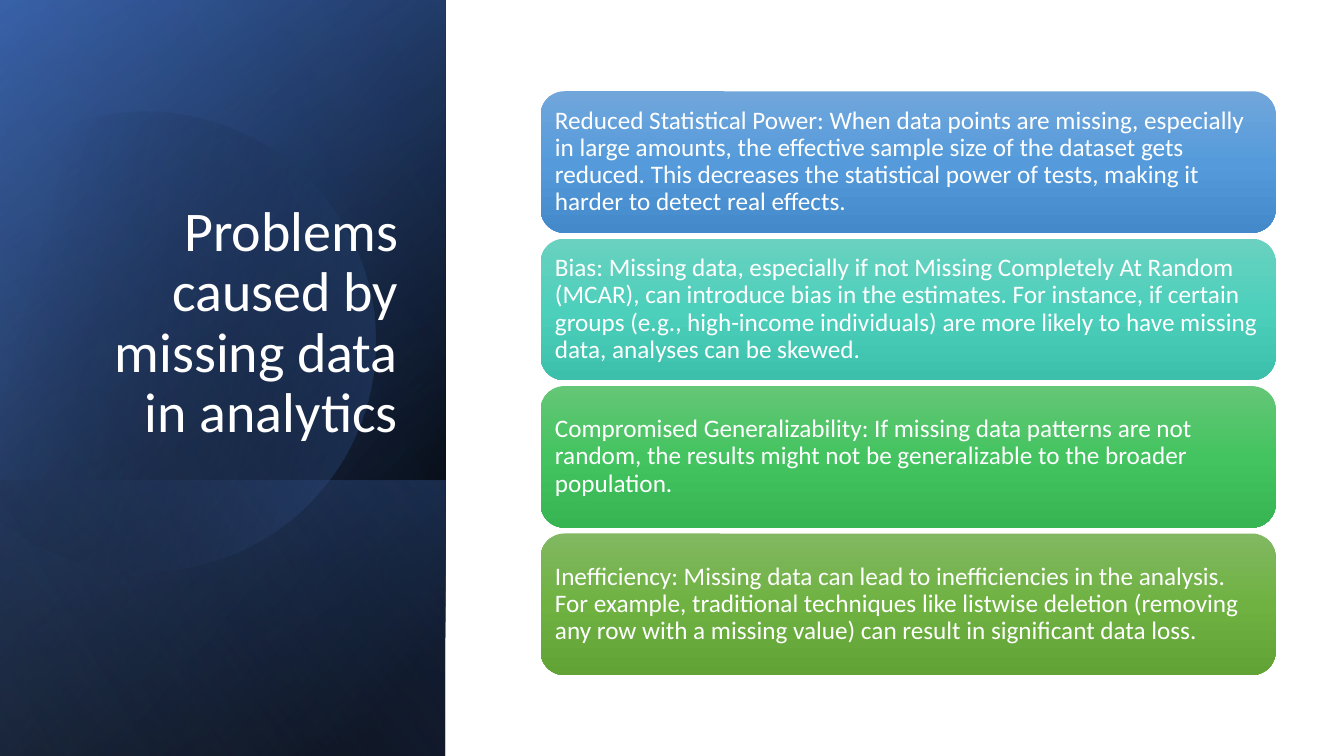
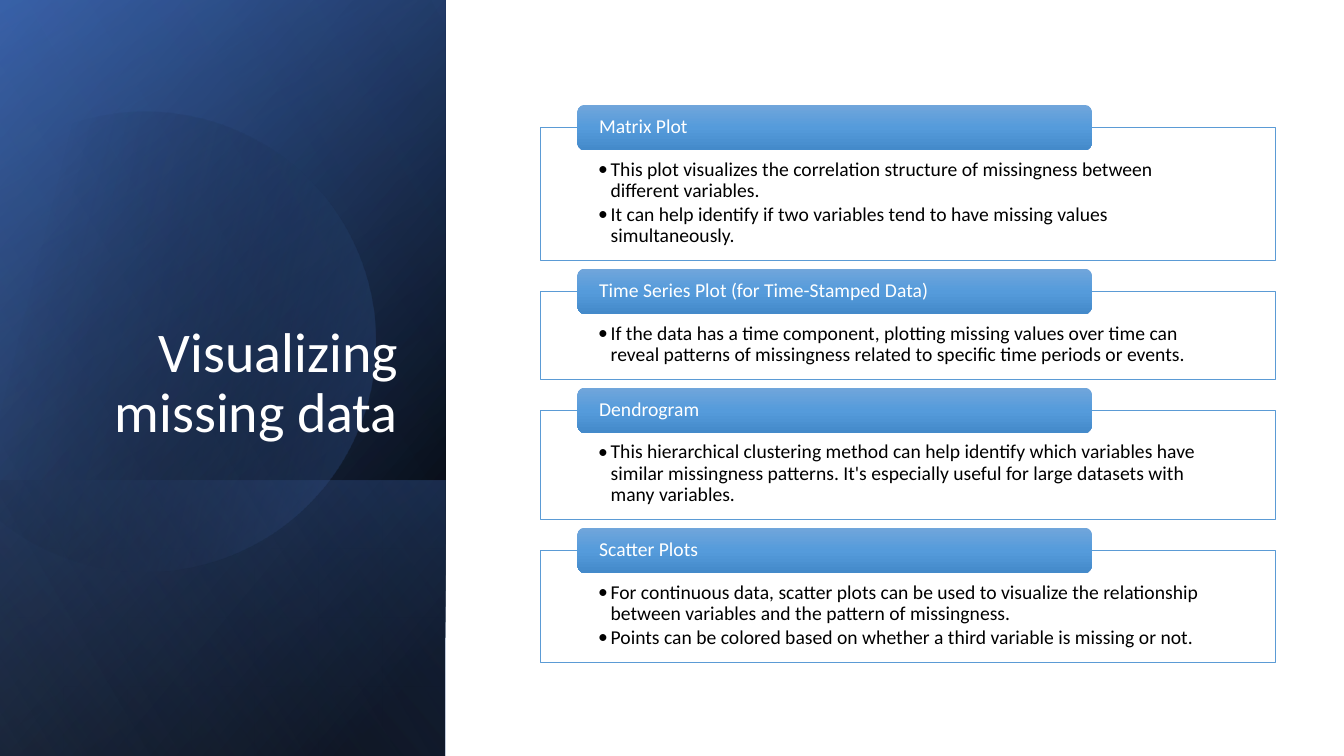
from math import cos, radians, sin, tan

from lxml.etree import SubElement
from pptx import Presentation
from pptx.dml.color import RGBColor
from pptx.enum.shapes import MSO_SHAPE
from pptx.enum.text import MSO_ANCHOR, PP_ALIGN
from pptx.oxml.ns import qn
from pptx.util import Pt

FONT = "Calibri"
COLORS = {
    "white": "FFFFFF",
    "black": "000000",
    "navy": "2F5597",
    "blue": "4472C4",
    "pale blue": "8FAADC",
    "outline": "5B9BD5",
}

# Gradient of each card, top to bottom
SKY = ("71A6DB", "559BDB", "448ACA")
TEAL = ("6AD1C0", "4CD0BC", "3CC0AC")
GREEN = ("64C677", "44C460", "36B552")
OLIVE = ("81B861", "6FB242", "62A336")

PROBLEMS_TITLE = "Problems caused by missing data in analytics"
PROBLEMS = [
    (SKY, "Reduced Statistical Power: When data points are missing, especially in large "
          "amounts, the effective sample size of the dataset gets reduced. This decreases "
          "the statistical power of tests, making it harder to detect real effects."),
    (TEAL, "Bias: Missing data, especially if not Missing Completely At Random (MCAR), can "
           "introduce bias in the estimates. For instance, if certain groups (e.g., "
           "high-income individuals) are more likely to have missing data, analyses can be "
           "skewed."),
    (GREEN, "Compromised Generalizability: If missing data patterns are not random, the "
            "results might not be generalizable to the broader population."),
    (OLIVE, "Inefficiency: Missing data can lead to inefficiencies in the analysis. For "
            "example, traditional techniques like listwise deletion (removing any row with "
            "a missing value) can result in significant data loss."),
]

PLOTS_TITLE = "Visualizing missing data"
# Heading, panel height, bullets
PLOTS = [
    ("Matrix Plot", 95, [
        "This plot visualizes the correlation structure of missingness between different "
        "variables.",
        "It can help identify if two variables tend to have missing values simultaneously.",
    ]),
    ("Time Series Plot (for Time-Stamped Data)", 63, [
        "If the data has a time component, plotting missing values over time can reveal "
        "patterns of missingness related to specific time periods or events.",
    ]),
    ("Dendrogram", 78, [
        "This hierarchical clustering method can help identify which variables have similar "
        "missingness patterns. It's especially useful for large datasets with many "
        "variables.",
    ]),
    ("Scatter Plots", 80, [
        "For continuous data, scatter plots can be used to visualize the relationship "
        "between variables and the pattern of missingness.",
        "Points can be colored based on whether a third variable is missing or not.",
    ]),
]

SLIDE_WIDTH, SLIDE_HEIGHT = 960, 540
SIDE_WIDTH = 318.2
CONTENT_LEFT, CONTENT_WIDTH = 386.2, 525

# Side bands: top, gradient angle, stops of (position %, colour, opacity %)
BANDS_BELOW_CIRCLE = [
    (0, 50, [(8, "black", 100), (100, "navy", 100)]),
    (0, 30, [(0, "black", 0), (99, "blue", 46)]),
    (343, 130, [(2, "blue", 29), (100, "black", 30)]),
]
BAND_ABOVE_CIRCLE = (0, 120, [(0, "black", 0), (99, "pale blue", 11)])
CIRCLE_CENTER, CIRCLE_RADIUS = (103.3, 241), 164.5
CIRCLE_DEGREES = [-118, -90, 0, 90, 150]  # ends of the arcs, clockwise from due right
CIRCLE_ROTATION = 343.9
CIRCLE_STOPS = [(29, "black", 0), (100, "blue", 43)]


def remove_outline_and_shadow(shape):
    shape.line.fill.background()
    shape.shadow.inherit = False


def fill_gradient(shape, angle, stops):
    """Fill with stops of (position %, hex colour, opacity %); angle runs clockwise."""
    shape.fill.gradient()
    shape.fill.gradient_angle = 360 - angle
    stop_list = shape.element.spPr.find(qn("a:gradFill")).find(qn("a:gsLst"))
    for stop in list(stop_list):
        stop_list.remove(stop)
    for position, color, opacity in stops:
        stop = SubElement(stop_list, qn("a:gs"), pos=str(position * 1000))
        rgb = SubElement(stop, qn("a:srgbClr"), val=color)
        if opacity < 100:
            SubElement(rgb, qn("a:alpha"), val=str(opacity * 1000))


def named_stops(stops):
    return [(position, COLORS[name], opacity) for position, name, opacity in stops]


def write_text(shape, lines, size, color, anchor, margins,
               align=PP_ALIGN.LEFT, bulleted=False):
    """Set text; margins are left, top, right, bottom in points."""
    frame = shape.text_frame
    frame.text = "\n".join(lines)
    frame.word_wrap = True
    frame.vertical_anchor = anchor
    (frame.margin_left, frame.margin_top,
     frame.margin_right, frame.margin_bottom) = map(Pt, margins)
    for paragraph in frame.paragraphs:
        paragraph.alignment = align
        paragraph.line_spacing = 0.9
        font = paragraph.runs[0].font
        font.name, font.size = FONT, Pt(size)
        font.color.rgb = RGBColor.from_string(COLORS[color])
        if bulleted:
            paragraph.space_after = Pt(2.1)
            properties = paragraph._p.get_or_add_pPr()
            properties.set("marL", str(Pt(9)))
            properties.set("indent", str(-Pt(9)))
            SubElement(properties, qn("a:buFont"), typeface=FONT)
            SubElement(properties, qn("a:buChar"), char="•")


def add_band(slide, top, angle, stops):
    """Add a quarter-turned, mirrored band from top down to the slide's foot."""
    length = SLIDE_HEIGHT - top
    left = (SIDE_WIDTH - length) / 2
    frame_top = top + (length - SIDE_WIDTH) / 2
    band = slide.shapes.add_shape(
        MSO_SHAPE.RECTANGLE, Pt(left), Pt(frame_top), Pt(length), Pt(SIDE_WIDTH))
    band.rotation = 90
    band.element.spPr.find(qn("a:xfrm")).set("flipH", "1")
    fill_gradient(band, angle, named_stops(stops))
    remove_outline_and_shadow(band)


def circle_point(degree, tangent_length=0):
    """Give a point on the circle, moved clockwise along its tangent, in EMU."""
    angle = radians(degree)
    center_x, center_y = CIRCLE_CENTER
    return (Pt(center_x + CIRCLE_RADIUS * cos(angle) - tangent_length * sin(angle)),
            Pt(center_y + CIRCLE_RADIUS * sin(angle) + tangent_length * cos(angle)))


def bend_sides(circle):
    """Turn the straight sides into circular arcs, leaving the closing side straight."""
    sides = list(circle.element.spPr.iter(qn("a:lnTo")))
    for side, start, end in zip(sides, CIRCLE_DEGREES, CIRCLE_DEGREES[1:]):
        reach = CIRCLE_RADIUS * 4 / 3 * tan(radians(end - start) / 4)
        side.tag = qn("a:cubicBezTo")
        controls = [circle_point(start, reach), circle_point(end, -reach)]
        for index, (x, y) in enumerate(controls):
            point = SubElement(side, qn("a:pt"),
                               x=str(x - circle.left), y=str(y - circle.top))
            side.insert(index, point)


def add_cut_circle(slide):
    """Add the circle whose left side is cut off by a straight edge."""
    points = [circle_point(degree) for degree in CIRCLE_DEGREES]
    builder = slide.shapes.build_freeform(*points[0])
    builder.add_line_segments(points[1:], close=True)
    circle = builder.convert_to_shape()
    bend_sides(circle)
    circle.rotation = CIRCLE_ROTATION
    fill_gradient(circle, 30, named_stops(CIRCLE_STOPS))
    remove_outline_and_shadow(circle)


def add_titled_slide(presentation, title):
    """Add a slide with the shared side panel and its title."""
    slide = presentation.slides.add_slide(presentation.slide_layouts[6])
    for band in BANDS_BELOW_CIRCLE:
        add_band(slide, *band)
    add_cut_circle(slide)
    add_band(slide, *BAND_ABOVE_CIRCLE)
    title_box = slide.shapes.add_textbox(Pt(46), Pt(132.8), Pt(245.3), Pt(188.6))
    write_text(title_box, [title], 40, "white", MSO_ANCHOR.BOTTOM,
               (7.2, 3.6, 7.2, 3.6), PP_ALIGN.RIGHT)
    return slide


def add_card(slide, left, top, width, height, gradient, text, size, margins):
    card = slide.shapes.add_shape(
        MSO_SHAPE.ROUNDED_RECTANGLE, Pt(left), Pt(top), Pt(width), Pt(height))
    stops = [(index * 50, color, 100) for index, color in enumerate(gradient)]
    fill_gradient(card, 90, stops)
    remove_outline_and_shadow(card)
    write_text(card, [text], size, "white", MSO_ANCHOR.MIDDLE, margins)


def add_bullet_panel(slide, top, height, bullets):
    panel = slide.shapes.add_shape(
        MSO_SHAPE.RECTANGLE, Pt(CONTENT_LEFT), Pt(top), Pt(CONTENT_WIDTH), Pt(height))
    panel.fill.solid()
    panel.fill.fore_color.rgb = RGBColor.from_string(COLORS["white"])
    panel.line.color.rgb = RGBColor.from_string(COLORS["outline"])
    panel.line.width = Pt(0.5)
    panel.shadow.inherit = False
    write_text(panel, bullets, 14, "black", MSO_ANCHOR.TOP, (41, 22.8, 41, 8),
               bulleted=True)


def build_problems(presentation):
    slide = add_titled_slide(presentation, PROBLEMS_TITLE)
    first_top, height, gap = 65.2, 101, 4.3
    for index, (gradient, text) in enumerate(PROBLEMS):
        add_card(slide, CONTENT_LEFT, first_top + index * (height + gap), CONTENT_WIDTH,
                 height, gradient, text, 18, (5.3, 5, 5.3, 5))


def build_plots(presentation):
    slide = add_titled_slide(presentation, PLOTS_TITLE)
    top, gap = 91, 22
    for heading, height, bullets in PLOTS:
        add_bullet_panel(slide, top, height, bullets)
        add_card(slide, CONTENT_LEFT + 26.2, top - 16.2, CONTENT_WIDTH * 0.7, 32.5,
                 SKY, heading, 14, (14, 0, 14, 0))
        top += height + gap


def main():
    presentation = Presentation()
    presentation.slide_width = Pt(SLIDE_WIDTH)
    presentation.slide_height = Pt(SLIDE_HEIGHT)
    build_problems(presentation)
    build_plots(presentation)
    presentation.save("out.pptx")


if __name__ == "__main__":
    main()
